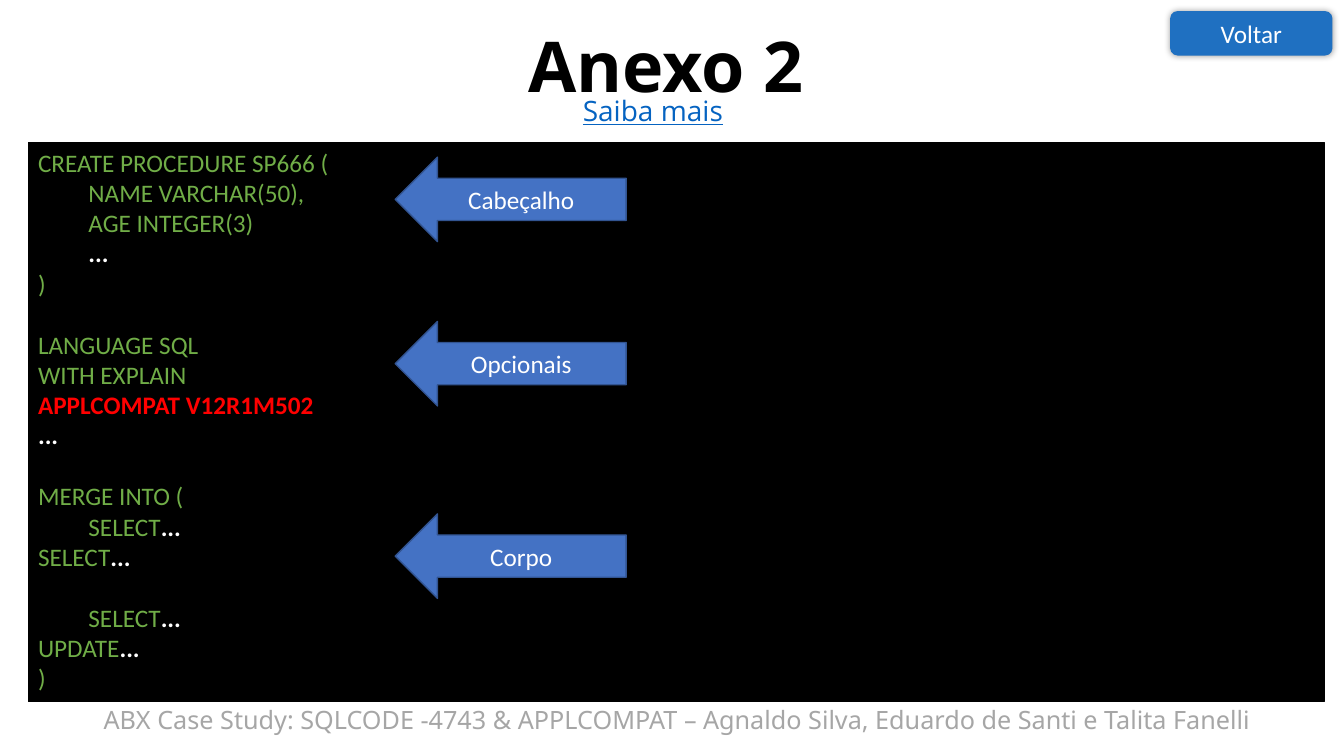
from lxml import etree
from pptx import Presentation
from pptx.dml.color import RGBColor
from pptx.enum.shapes import MSO_SHAPE
from pptx.enum.text import MSO_ANCHOR, MSO_AUTO_SIZE, PP_ALIGN
from pptx.oxml.ns import qn
from pptx.util import Cm, Pt

RECTANGLE = MSO_SHAPE.RECTANGLE
ROUNDED = MSO_SHAPE.ROUNDED_RECTANGLE
LEFT_ARROW = MSO_SHAPE.LEFT_ARROW
LEFT, CENTER = PP_ALIGN.LEFT, PP_ALIGN.CENTER
TOP, MIDDLE = MSO_ANCHOR.TOP, MSO_ANCHOR.MIDDLE
NO_AUTOFIT = MSO_AUTO_SIZE.NONE

WHITE, BLACK, GREEN, RED = "FFFFFF", "000000", "70AD47", "FF0000"
BLUE, NAVY, BUTTON_BLUE = "4472C4", "325491", "1F70C1"
LINK_BLUE, GRAY = "0563C1", "A6A6A6"


def write(paragraph, text, size=18, font="Calibri", color=WHITE,
          bold=False, underline=False, align=CENTER):
    """Append one formatted run to the paragraph."""
    paragraph.alignment = align
    run = paragraph.add_run()
    run.text = text
    run.font.size = Pt(size)
    run.font.name = font
    run.font.bold = bold
    run.font.underline = underline
    run.font.color.rgb = RGBColor.from_string(color)


def paint(shape, fill, line=None, width=1):
    shape.shadow.inherit = False
    shape.fill.solid()
    shape.fill.fore_color.rgb = RGBColor.from_string(fill)
    if line:
        shape.line.color.rgb = RGBColor.from_string(line)
        shape.line.width = Pt(width)
    else:
        shape.line.fill.background()


prs = Presentation()
prs.slide_width, prs.slide_height = Cm(33.87), Cm(19.05)
slide = prs.slides.add_slide(prs.slide_layouts[5])
shapes = slide.shapes

# Title
title = shapes.title
title.left, title.top, title.width, title.height = Cm(3.35), Cm(0.43), Cm(26.87), Cm(2.39)
title.text_frame.auto_size = NO_AUTOFIT
title.text_frame.vertical_anchor = TOP
write(title.text_frame.paragraphs[0], "Anexo 2", size=50, font="Noto Sans",
      color=BLACK, bold=True)

# Code panel: each line is (code, its colour, whether an ellipsis follows)
code_sections = [
    [("CREATE PROCEDURE SP666 (", GREEN, False),
     ("\tNAME VARCHAR(50),", GREEN, False),
     ("\tAGE INTEGER(3)", GREEN, False),
     ("\t", GREEN, True),
     (")", GREEN, False)],
    [("LANGUAGE SQL", GREEN, False),
     ("WITH EXPLAIN", GREEN, False),
     ("APPLCOMPAT V12R1M502", RED, False),
     ("", GREEN, True)],
    [("MERGE INTO (", GREEN, False),
     ("\tSELECT", GREEN, True),
     ("SELECT", GREEN, True)],
    [("\tSELECT", GREEN, True),
     ("UPDATE", GREEN, True),
     (")", GREEN, False)],
]
code_panel = shapes.add_shape(RECTANGLE, Cm(0.71), Cm(3.58), Cm(32.66), Cm(14.1))
paint(code_panel, BLACK, BLACK, 0.75)
code_frame = code_panel.text_frame
code_frame.word_wrap = True
code_frame.vertical_anchor = TOP
code_line = code_frame.paragraphs[0]
for section_number, section in enumerate(code_sections):
    for line_number, (code, color, has_ellipsis) in enumerate(section):
        if section_number or line_number:
            code_line = code_frame.add_paragraph()
        if section_number and line_number == 0:
            code_line.space_before = Pt(22)
        if code:
            write(code_line, code, color=color, bold=color == RED, align=LEFT)
        if has_ellipsis:
            write(code_line, "...", bold=True, align=LEFT)

# Arrows naming the parts of the procedure
for part, top in [("Cabeçalho", 3.96), ("Opcionais", 8.1), ("Corpo", 12.95)]:
    arrow = shapes.add_shape(LEFT_ARROW, Cm(9.96), Cm(top), Cm(5.82), Cm(2.13))
    paint(arrow, BLUE, NAVY)
    arrow.text_frame.vertical_anchor = MIDDLE
    write(arrow.text_frame.paragraphs[0], part)

# Back button with a soft glow-like shadow
back_button = shapes.add_shape(ROUNDED, Cm(29.49), Cm(0.28), Cm(4.09), Cm(1.12))
paint(back_button, BUTTON_BLUE)
back_button.text_frame.vertical_anchor = MIDDLE
write(back_button.text_frame.paragraphs[0], "Voltar")
effects = back_button._element.spPr.find(qn("a:effectLst"))
shadow = etree.SubElement(effects, qn("a:outerShdw"), blurRad=str(Pt(5)),
                          dist="0", dir="0", algn="ctr", rotWithShape="0")
shadow_color = etree.SubElement(shadow, qn("a:srgbClr"), val=BLACK)
etree.SubElement(shadow_color, qn("a:alpha"), val="40000")

# Link and footer
credits = ("ABX Case Study: SQLCODE -4743 & APPLCOMPAT – "
           "Agnaldo Silva, Eduardo de Santi e Talita Fanelli")
captions = [
    ("Saiba mais", (13.28, 2.24, 6.35, 1.12),
     dict(size=20, font="Open Sans", color=LINK_BLUE, underline=True)),
    (credits, (1.27, 17.63, 31.57, 1.02),
     dict(font="Noto Sans", color=GRAY)),
]
for text, place, text_format in captions:
    caption = shapes.add_textbox(*map(Cm, place))
    caption.text_frame.word_wrap = True
    write(caption.text_frame.paragraphs[0], text, **text_format)

prs.save("out.pptx")
